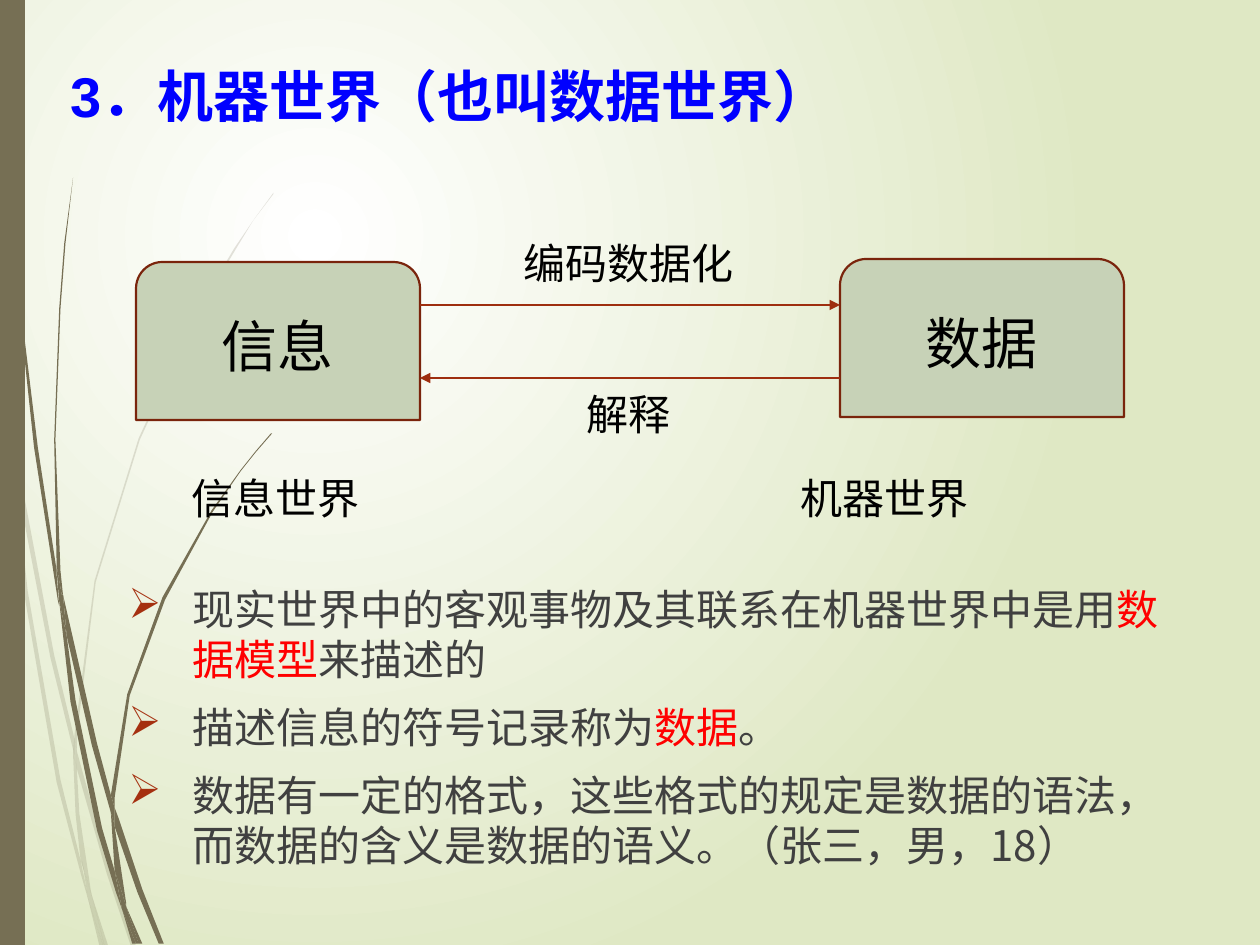
from lxml.etree import SubElement
from pptx import Presentation
from pptx.dml.color import RGBColor
from pptx.enum.lang import MSO_LANGUAGE_ID
from pptx.enum.shapes import MSO_CONNECTOR, MSO_SHAPE
from pptx.enum.text import MSO_ANCHOR, PP_ALIGN
from pptx.oxml.ns import qn
from pptx.util import Emu, Inches, Pt

PX = 914400 / 126
HUNDREDTH_INCH = 9144

WHITE = RGBColor(0xFF, 0xFF, 0xFF)
PALE_GREEN = RGBColor(0xDF, 0xE8, 0xC4)
OLIVE = RGBColor(0x76, 0x6F, 0x54)
SAGE = RGBColor(0xC7, 0xD2, 0xB7)
MAROON = RGBColor(0x7A, 0x24, 0x0C)
RUST = RGBColor(0x9E, 0x2E, 0x0F)
BULLET_RED = RGBColor(0xA5, 0x30, 0x10)
BLUE = RGBColor(0x00, 0x00, 0xFF)
RED = RGBColor(0xFF, 0x00, 0x00)
GREY = RGBColor(0x40, 0x40, 0x40)
BLACK = RGBColor(0x00, 0x00, 0x00)

LABEL_FONT = "League Spartan"
BODY_FONT = "Noto Sans CJK SC"

# Outlines of the grass blades, in hundredths of an inch
FAINT_BLADES = [
    [(8, 350), (6, 322), (0, 282), (0, 299), (7, 344)],
    [(40, 522), (59, 599), (59, 586), (43, 520), (10, 345), (12, 376)],
    [(64, 607), (61, 596), (61, 610), (85, 694), (104, 751), (108, 751), (88, 692)],
    [(83, 751), (86, 751), (73, 711)],
    [(64, 683), (48, 619), (22, 469), (12, 376), (8, 350), (19, 470), (45, 621),
     (64, 693), (70, 714), (69, 707)],
    [(58, 599), (60, 646), (64, 683), (67, 692), (73, 711), (72, 706), (63, 646),
     (61, 610), (61, 608)],
    [(61, 584), (76, 462), (111, 349), (159, 245), (187, 198), (201, 175), (217, 154),
     (217, 153), (201, 175), (186, 197), (158, 244), (110, 348), (75, 461), (59, 584),
     (59, 586), (61, 596)],
    [(70, 714), (79, 751), (82, 751)],
    [(61, 608), (61, 610), (61, 596), (59, 586), (58, 599)],
    [(67, 692), (65, 683), (69, 707), (70, 714), (82, 751), (83, 751), (73, 711)],
]
DARK_BLADES = [
    [(5, 110), (14, 233), (27, 355), (46, 477), (47, 481), (45, 457), (45, 453),
     (30, 355), (15, 232), (6, 109), (4, 48), (3, 0), (2, 0), (3, 48)],
    [(73, 592), (88, 645), (88, 633), (88, 631), (77, 590), (50, 472), (53, 505)],
    [(94, 649), (91, 641), (91, 656), (109, 708), (126, 749), (130, 749), (113, 706)],
    [(91, 691), (81, 657), (60, 556), (53, 505), (47, 477), (56, 557), (77, 659),
     (92, 708), (97, 722), (96, 717)],
    [(50, 472), (48, 453), (44, 349), (48, 245), (52, 193), (58, 141), (58, 141),
     (51, 193), (47, 245), (43, 349), (45, 449), (49, 472)],
    [(110, 749), (113, 749), (100, 719)],
    [(47, 477), (53, 505), (50, 472), (49, 472), (45, 449), (45, 453)],
    [(91, 633), (103, 552), (131, 476), (169, 406), (191, 374), (203, 359), (216, 344),
     (215, 344), (203, 358), (191, 373), (168, 405), (129, 474), (101, 551), (88, 631),
     (91, 641)],
    [(97, 722), (105, 749), (108, 749)],
    [(88, 645), (91, 691), (96, 706), (100, 719), (100, 716), (91, 656), (90, 651)],
    [(88, 645), (90, 651), (91, 656), (91, 641), (88, 631), (88, 633)],
    [(96, 706), (91, 691), (96, 717), (97, 722), (108, 749), (110, 749), (100, 719)],
]

BODY = [
    [("现实世界中的客观事物及其联系在机器世界中是用", "Arial", GREY),
     ("数据模型", "Arial", RED), ("来描述的", "Arial", GREY)],
    [("描述信息的符号记录称为", BODY_FONT, GREY), ("数据", BODY_FONT, RED),
     ("。", BODY_FONT, GREY)],
    [("数据有一定的格式，这些格式的规定是数据的语法，"
      "而数据的含义是数据的语义。（张三，男，18）", BODY_FONT, GREY)],
]


def px(*lengths):
    return [Emu(round(length * PX)) for length in lengths]


def paint_background(slide):
    fill = slide.background.fill
    fill.gradient()
    for stop, color in zip(fill.gradient_stops, (WHITE, PALE_GREEN)):
        stop.color.rgb = color
    fill.gradient_stops[0].position, fill.gradient_stops[1].position = 0, 1
    # Circular gradient centred on the upper left quarter
    linear = next(slide.background._cSld.iter(qn("a:lin")))
    gradient = linear.getparent()
    gradient.remove(linear)
    circle = SubElement(gradient, qn("a:path"), path="circle")
    SubElement(circle, qn("a:fillToRect"), l="50000", t="50000", r="100000", b="100000")


def fill_plain(shape, color):
    shape.shadow.inherit = False
    shape.fill.solid()
    shape.fill.fore_color.rgb = color
    shape.line.fill.background()


def add_blades(slide, outlines, opacity=100):
    for start, *rest in outlines:
        builder = slide.shapes.build_freeform(*start, scale=HUNDREDTH_INCH)
        builder.add_line_segments(rest, close=True)
        blade = builder.convert_to_shape()
        fill_plain(blade, OLIVE)
        if opacity < 100:
            color = next(blade.fill._xPr.iter(qn("a:srgbClr")))
            SubElement(color, qn("a:alpha"), val=str(opacity * 1000))


def add_run(paragraph, text, font_name, size, color, bold=False):
    run = paragraph.add_run()
    run.text = text
    font = run.font
    font.name, font.size, font.bold = font_name, Pt(size), bold
    font.color.rgb = color
    font.language_id = MSO_LANGUAGE_ID.SIMPLIFIED_CHINESE


def add_world_box(slide, text, left, top):
    box = slide.shapes.add_shape(MSO_SHAPE.ROUND_2_SAME_RECTANGLE,
                                 *px(left, top, 284, 158))
    fill_plain(box, SAGE)
    box.line.color.rgb = MAROON
    box.line.width = Pt(1.25)
    box.text_frame.vertical_anchor = MSO_ANCHOR.MIDDLE
    paragraph = box.text_frame.paragraphs[0]
    paragraph.alignment = PP_ALIGN.CENTER
    add_run(paragraph, text, LABEL_FONT, 32, BLACK)


def add_label(slide, text, left, top):
    label = slide.shapes.add_textbox(*px(left, top, 27 + 42 * len(text), 63))
    label.text_frame.word_wrap = False
    add_run(label.text_frame.paragraphs[0], text, LABEL_FONT, 24, BLACK)


def add_arrow(slide, start_x, end_x, y, width):
    arrow = slide.shapes.add_connector(MSO_CONNECTOR.STRAIGHT, *px(start_x, y, end_x, y))
    arrow.line.color.rgb = RUST
    arrow.line.width = Pt(width)
    SubElement(arrow.line._get_or_add_ln(), qn("a:tailEnd"), type="triangle")
    SubElement(arrow._element.spPr, qn("a:effectLst"))


def add_title(slide, text):
    title = slide.shapes.add_textbox(*px(64, 55, 1132, 113))
    frame = title.text_frame
    frame.word_wrap = True
    frame.margin_left = frame.margin_right = Inches(0.05)
    add_run(frame.paragraphs[0], text, "Arial", 32, BLUE, bold=True)


def add_bullets(slide, items):
    body = slide.shapes.add_textbox(*px(116, 577, 1071, 312))
    frame = body.text_frame
    frame.word_wrap = True
    for index, runs in enumerate(items):
        paragraph = frame.add_paragraph() if index else frame.paragraphs[0]
        properties = paragraph._p.get_or_add_pPr()
        indent = Inches(0.51)
        properties.set("marL", str(indent))
        properties.set("indent", str(-indent))
        bullet_color = SubElement(properties, qn("a:buClr"))
        SubElement(bullet_color, qn("a:srgbClr"), val=str(BULLET_RED))
        SubElement(properties, qn("a:buChar"), char="➢")
        if index:
            paragraph.space_before = Pt(10)
        for text, font_name, color in runs:
            add_run(paragraph, text, font_name, 24, color)


def main():
    presentation = Presentation()
    presentation.slide_width, presentation.slide_height = px(1260, 945)
    slide = presentation.slides.add_slide(presentation.slide_layouts[6])

    # Backdrop
    paint_background(slide)
    add_blades(slide, FAINT_BLADES, opacity=20)
    add_blades(slide, DARK_BLADES)
    side_bar = slide.shapes.add_shape(MSO_SHAPE.RECTANGLE, *px(0, 0, 25, 945))
    fill_plain(side_bar, OLIVE)

    # Text
    add_bullets(slide, BODY)
    add_title(slide, "3．机器世界（也叫数据世界）")

    # Diagram
    add_world_box(slide, "信息", 136, 262)
    add_world_box(slide, "数据", 840, 259)
    add_label(slide, "信息世界", 179, 466)
    add_label(slide, "机器世界", 788, 466)
    add_arrow(slide, 420, 840, 305, 1.5)
    add_arrow(slide, 840, 420, 378, 0.75)
    add_label(slide, "编码数据化", 511, 231)
    add_label(slide, "解释", 574, 382)

    presentation.save("out.pptx")


if __name__ == "__main__":
    main()
